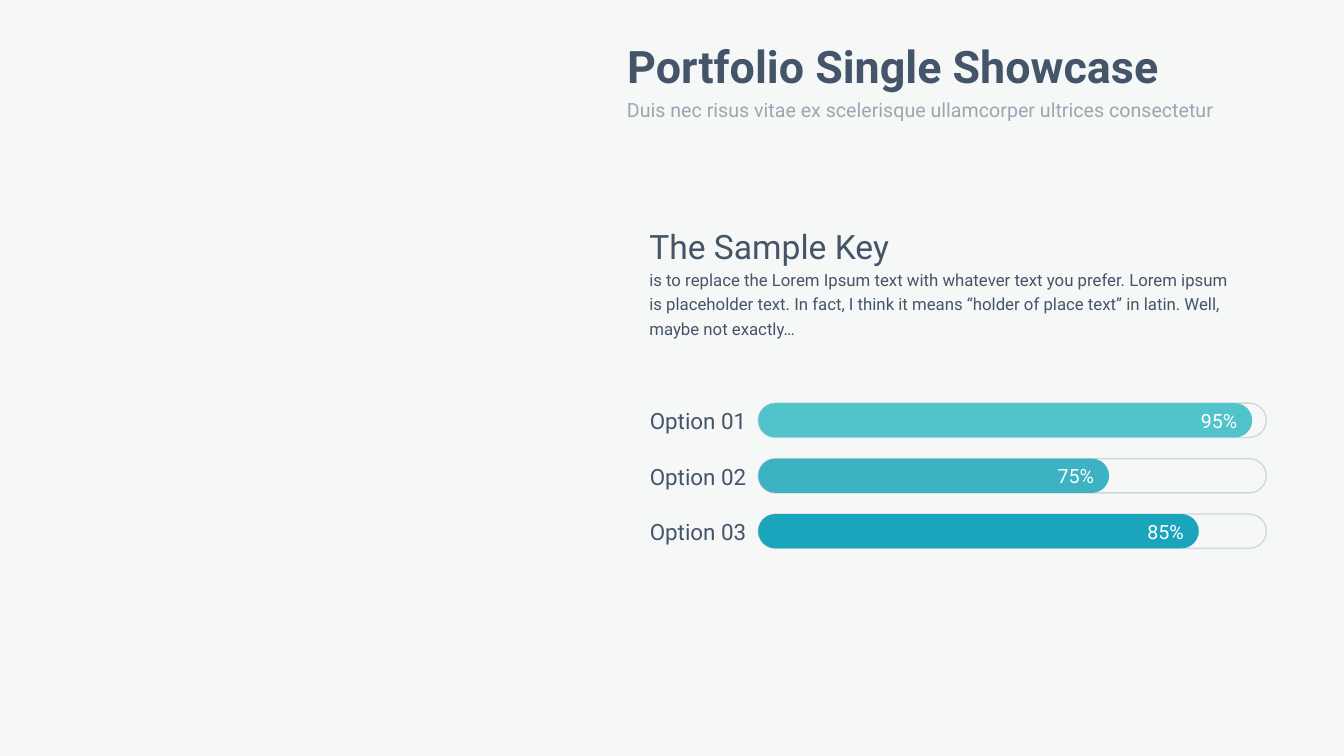
import pptx
import pptx.dml.color
import pptx.enum.shapes
import pptx.enum.text
import pptx.oxml
import pptx.oxml.ns
import pptx.util

Inches = pptx.util.Inches
ALIGN = pptx.enum.text.PP_ALIGN
ANCHOR = pptx.enum.text.MSO_ANCHOR

FONT = "Roboto"
INK = "445469"
PAPER = "F6F8F8"
WHITE = "FFFFFF"

BAR_HEIGHT = 0.34
TRACK_WIDTH = 5.04
ROW_STEP = 0.55
# label, value, fill width in inches, fill colour
OPTIONS = [
    ("Option 01", "95%", 4.9, "51C3CA"),
    ("Option 02", "75%", 3.48, "3CB2C3"),
    ("Option 03", "85%", 4.37, "1AA5BD"),
]


def paint(fill, color, opacity=100):
    """Give a fill a solid colour, with opacity in percent."""
    fill.solid()
    fill.fore_color.rgb = pptx.dml.color.RGBColor.from_string(color)
    if opacity < 100:
        namespace = pptx.oxml.ns.nsdecls("a")
        alpha = pptx.oxml.parse_xml(f'<a:alpha {namespace} val="{opacity * 1000}"/>')
        fill._xPr.find(".//" + pptx.oxml.ns.qn("a:srgbClr")).append(alpha)


def set_frame(frame, margins=(0.1, 0.05, 0.1, 0.05), anchor=ANCHOR.MIDDLE):
    frame.word_wrap = True
    frame.auto_size = pptx.enum.text.MSO_AUTO_SIZE.NONE
    frame.vertical_anchor = anchor
    (frame.margin_left, frame.margin_top,
     frame.margin_right, frame.margin_bottom) = map(Inches, margins)


def write(para, text, size, color=INK, opacity=100, bold=False,
          align=ALIGN.LEFT, spacing=1.0):
    para.alignment = align
    para.line_spacing = spacing
    para.space_before = pptx.util.Pt(0)
    span = para.add_run()
    span.text = text
    span.font.name = FONT
    span.font.size = pptx.util.Pt(size)
    span.font.bold = bold
    paint(span.font.fill, color, opacity)


def add_text_box(page, left, top, width, height):
    return page.shapes.add_textbox(*map(Inches, (left, top, width, height)))


def add_pill(page, left, top, width):
    pill = page.shapes.add_shape(
        pptx.enum.shapes.MSO_SHAPE.ROUNDED_RECTANGLE,
        *map(Inches, (left, top, width, BAR_HEIGHT)))
    pill.adjustments[0] = 0.5
    pill.shadow.inherit = False
    return pill


def add_heading(page, left, top):
    title = page.shapes.title
    title.left, title.top = Inches(left), Inches(top)
    title.width, title.height = Inches(6.31), Inches(0.56)
    set_frame(title.text_frame)
    write(title.text_frame.paragraphs[0], "Portfolio Single Showcase", 32,
          bold=True, spacing=0.9)

    subtitle = add_text_box(page, left, top + 0.45, 6.9, 0.42)
    set_frame(subtitle.text_frame)
    write(subtitle.text_frame.paragraphs[0],
          "Duis nec risus vitae ex scelerisque ullamcorper ultrices consectetur",
          14, opacity=50, spacing=1.2)


def add_description(page, left, top, width, height):
    box = add_text_box(page, left, top, width, height)
    frame = box.text_frame
    set_frame(frame, (0.13, 0.05, 0.13, 0.07), ANCHOR.TOP)
    write(frame.paragraphs[0], "The Sample Key", 24, spacing=1.2)
    write(frame.add_paragraph(),
          "is to replace the Lorem Ipsum text with whatever text you prefer. "
          "Lorem ipsum is placeholder text. In fact, I think it means “holder "
          "of place text” in latin. Well, maybe not exactly…",
          12, spacing=1.2)


def add_option_bar(page, left, top, label, value, fill_width, color):
    """Place one row: label, outlined track and filled bar with its value."""
    caption = add_text_box(page, left, top + 0.01, 1.57, 0.36)
    set_frame(caption.text_frame)
    write(caption.text_frame.paragraphs[0], label, 16,
          align=ALIGN.RIGHT, spacing=0.95)

    bar_left = left + 1.59
    track = add_pill(page, bar_left, top, TRACK_WIDTH)
    track.fill.background()
    track.line.width = pptx.util.Pt(1)
    paint(track.line.fill, INK, 20)

    bar = add_pill(page, bar_left, top, fill_width)
    paint(bar.fill, color)
    bar.line.fill.background()
    set_frame(bar.text_frame, (0.1, 0, 0.1, 0))
    write(bar.text_frame.paragraphs[0], value, 14, WHITE, align=ALIGN.RIGHT)


def main():
    deck = pptx.Presentation()
    deck.slide_width, deck.slide_height = Inches(13.33), Inches(7.5)
    page = deck.slides.add_slide(deck.slide_layouts.get_by_name("Title Only"))
    paint(page.background.fill, PAPER)
    add_heading(page, 6.12, 0.4)
    for row, option in enumerate(OPTIONS):
        add_option_bar(page, 5.93, 4 + row * ROW_STEP, *option)
    add_description(page, 6.31, 2.11, 6.12, 1.33)
    deck.save("out.pptx")


if __name__ == "__main__":
    main()
